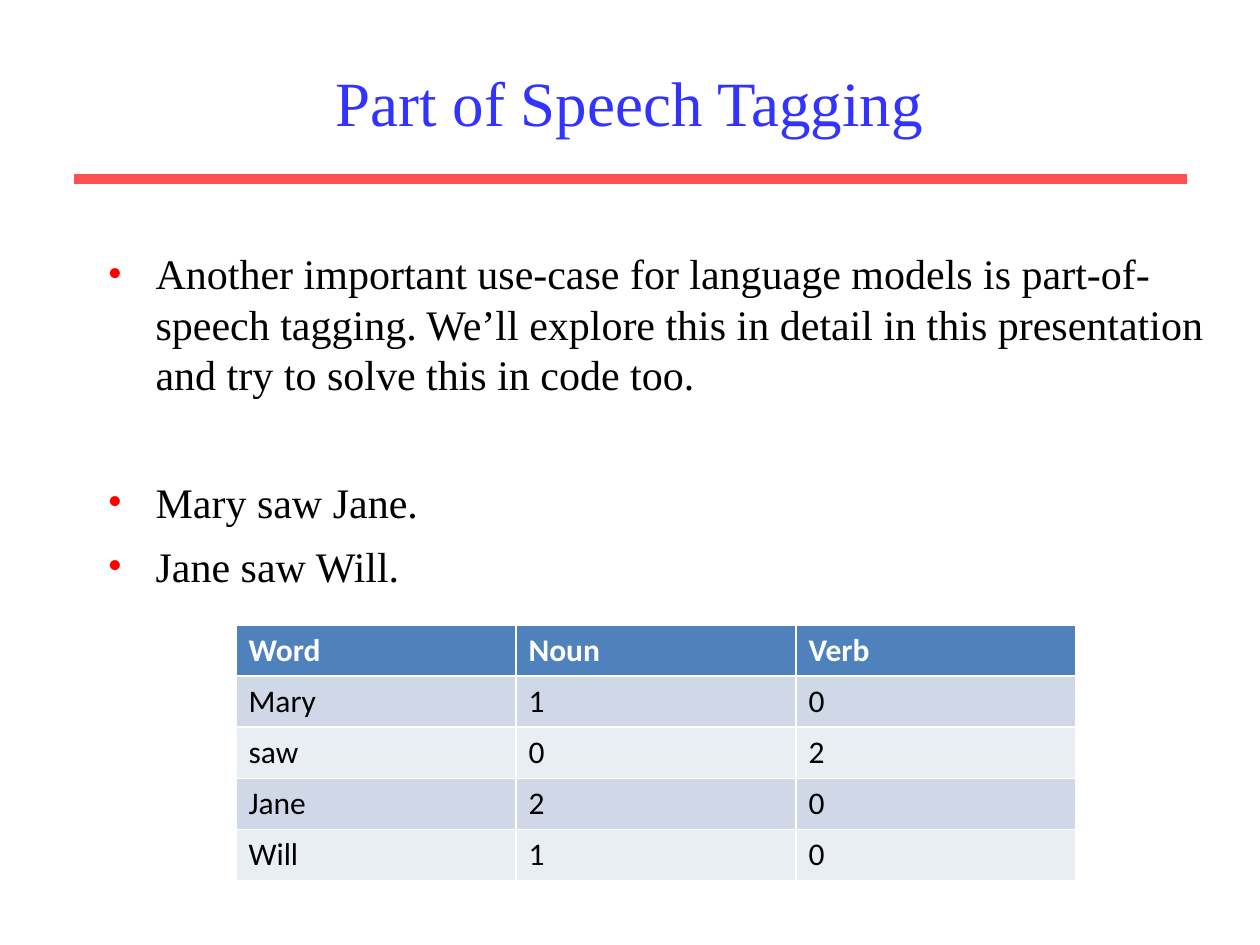
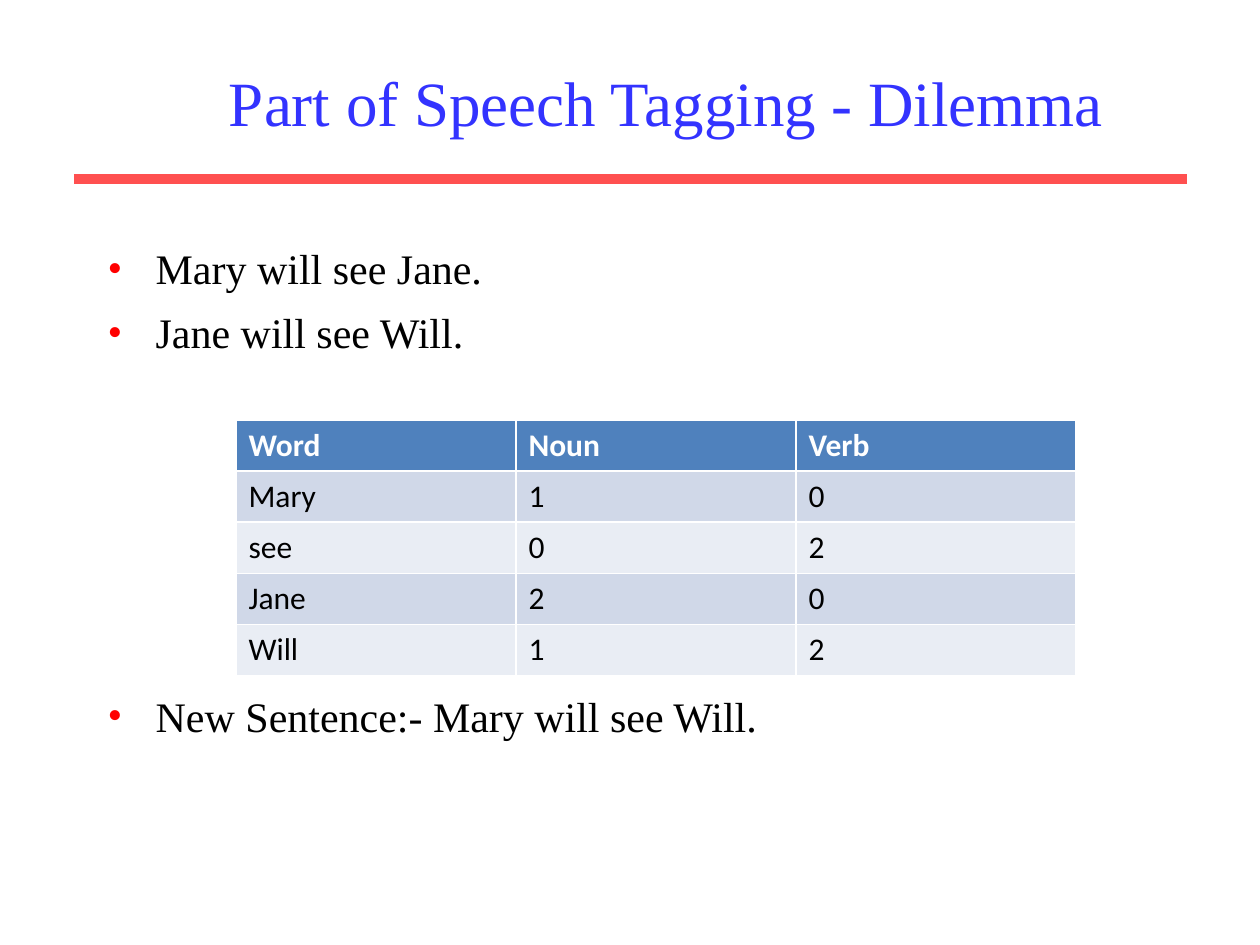
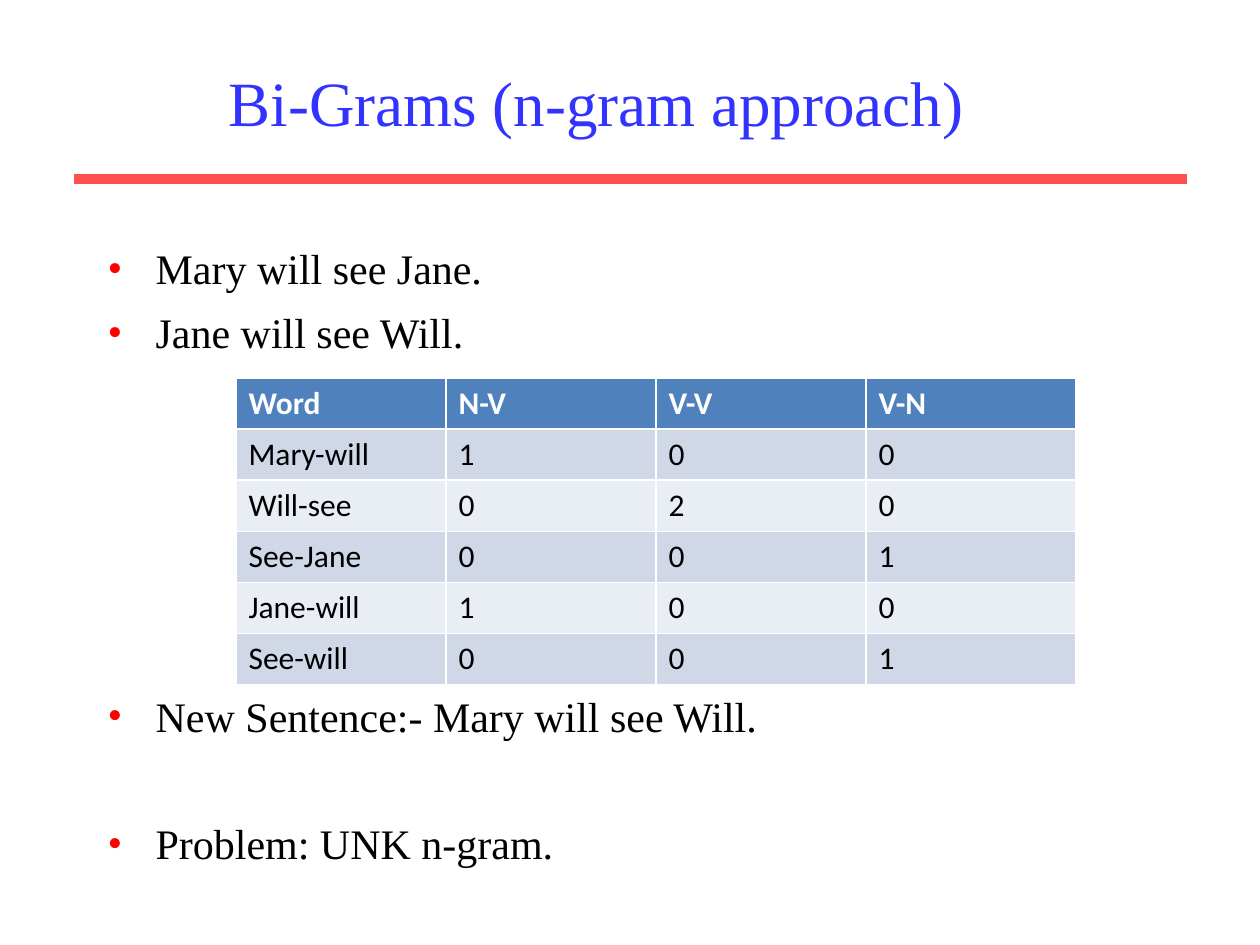
from lxml import etree
from pptx import Presentation
from pptx import util as u
from pptx.dml.color import RGBColor
from pptx.enum import shapes, text
from pptx.oxml.ns import qn

PX = 914400 / 126
HUES = {"title": "3333FF", "band": "FF5050", "dot": "FF0000", "ink": "000000",
        "head": "4F81BD", "pale": "FFFFFF", "odd": "D0D8E8", "even": "E9EDF4"}
SERIF, SANS = "Times New Roman", "Calibri"
LINE, GAP = 28.8, 7.7
LEFT, WIDE, ROW = 236, 840, 51


def px(*nums):
    return [u.Emu(round(n * PX)) for n in nums]


def write(para, words, face, size, hue, bold=False):
    run = para.add_run()
    run.text = words
    font = run.font
    font.name, font.size, font.bold = face, u.Pt(size), bold
    font.color.rgb = RGBColor.from_string(HUES[hue])


pages = [
    {"title": "Part of Speech Tagging", "align": text.PP_ALIGN.CENTER, "width": 801,
     "body": (242, 881), "inset": 6, "top": 625,
     "list": [("Another important use-case for language models is part-of-speech tagging. "
               "We’ll explore this in detail in this presentation and try to solve this "
               "in code too.", 0),
              ("Mary saw Jane.", 1), ("Jane saw Will.", 0)],
     "rows": [("Word", "Noun", "Verb"), ("Mary", 1, 0), ("saw", 0, 2),
              ("Jane", 2, 0), ("Will", 1, 0)]},
    {"title": "Part of Speech Tagging - Dilemma", "align": text.PP_ALIGN.LEFT, "width": 958,
     "body": (173, 583), "inset": 70, "top": 420,
     "list": [("Mary will see Jane.", 0), ("Jane will see Will.", 0),
              ("New Sentence:- Mary will see Will.", 5)],
     "rows": [("Word", "Noun", "Verb"), ("Mary", 1, 0), ("see", 0, 2),
              ("Jane", 2, 0), ("Will", 1, 2)]},
    {"title": "Bi-Grams (n-gram approach)", "align": text.PP_ALIGN.LEFT, "width": 958,
     "body": (173, 714), "inset": 70, "top": 378,
     "list": [("Mary will see Jane.", 0), ("Jane will see Will.", 0),
              ("New Sentence:- Mary will see Will.", 5), ("Problem: UNK n-gram.", 1)],
     "rows": [("Word", "N-V", "V-V", "V-N"), ("Mary-will", 1, 0, 0), ("Will-see", 0, 2, 0),
              ("See-Jane", 0, 0, 1), ("Jane-will", 1, 0, 0), ("See-will", 0, 0, 1)]},
]

deck = Presentation()
deck.slide_width, deck.slide_height = px(1260, 945)

for page in pages:
    slide = deck.slides.add_slide(deck.slide_layouts[1])

    band = slide.shapes.add_connector(shapes.MSO_CONNECTOR.STRAIGHT, *px(74, 179, 1187, 179))
    band.line.color.rgb = RGBColor.from_string(HUES["band"])
    band.line.width = u.Pt(6)
    etree.SubElement(band._element.spPr, qn("a:effectLst"))

    title = slide.shapes.title
    title.left, title.top, title.width, title.height = px(229, 63, page["width"], 77)
    frame = title.text_frame
    frame.margin_left = frame.margin_right = frame.margin_top = frame.margin_bottom = 0
    frame.vertical_anchor = text.MSO_ANCHOR.TOP
    frame.auto_size = text.MSO_AUTO_SIZE.NONE
    para = frame.paragraphs[0]
    para.alignment = page["align"]
    para.line_spacing = u.Pt(43.2)
    write(para, page["title"], SERIF, 36, "title")

    body = slide.placeholders[1]
    top, high = page["body"]
    body.left, body.top, body.width, body.height = px(94, top, 1123, high)
    frame = body.text_frame
    frame.auto_size = text.MSO_AUTO_SIZE.NONE
    frame.margin_top = px(page["inset"])[0]
    for i, (words, skip) in enumerate(page["list"]):
        para = frame.add_paragraph() if i else frame.paragraphs[0]
        para.line_spacing = u.Pt(LINE)
        para.space_before = u.Pt(GAP + skip * (LINE + GAP))
        props = para._p.get_or_add_pPr()
        mar, ind = px(49, -48)
        props.set("marL", str(mar))
        props.set("indent", str(ind))
        tint = etree.SubElement(props, qn("a:buClr"))
        etree.SubElement(tint, qn("a:srgbClr"), val=HUES["dot"])
        etree.SubElement(props, qn("a:buFont"), typeface=SERIF)
        etree.SubElement(props, qn("a:buChar"), char="•")
        write(para, words, SERIF, 24, "ink")

    rows = page["rows"]
    cols = len(rows[0])
    grid = slide.shapes.add_table(
        len(rows), cols, *px(LEFT, page["top"], WIDE, ROW * len(rows))).table
    for col in grid.columns:
        col.width = px(WIDE // cols)[0]
    for r, row in enumerate(rows):
        grid.rows[r].height = px(ROW)[0]
        fill = "odd" if r % 2 else "even" if r else "head"
        for c, item in enumerate(row):
            cell = grid.cell(r, c)
            cell.fill.solid()
            cell.fill.fore_color.rgb = RGBColor.from_string(HUES[fill])
            write(cell.text_frame.paragraphs[0], str(item), SANS, 18,
                  "ink" if r else "pale", r == 0)

deck.save("out.pptx")
